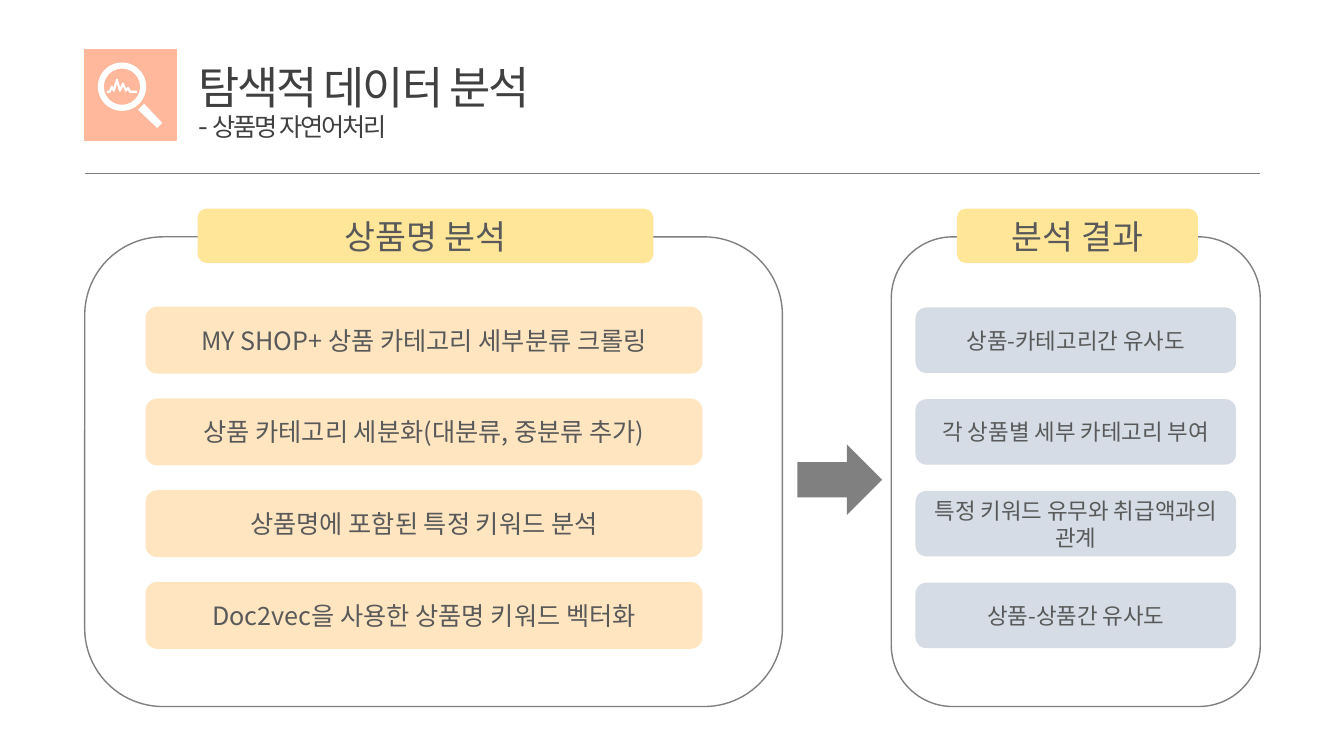
import pptx
import pptx.util
import pptx.dml.color
import pptx.enum.shapes
import pptx.enum.text
import pptx.oxml
import pptx.oxml.ns

Inches = pptx.util.Inches
Pt = pptx.util.Pt
RGB = pptx.dml.color.RGBColor
Kind = pptx.enum.shapes.MSO_SHAPE
Align = pptx.enum.text.PP_ALIGN
Anchor = pptx.enum.text.MSO_ANCHOR

FONT = "Noto Sans CJK KR"
WHITE = RGB(0xFF, 0xFF, 0xFF)
GRAY = RGB(0x80, 0x80, 0x80)
DARK = RGB(0x40, 0x40, 0x40)
TEXT = RGB(0x59, 0x59, 0x59)
CORAL = RGB(0xFF, 0xB8, 0x9B)
YELLOW = RGB(0xFF, 0xE6, 0x99)
PEACH = RGB(0xFF, 0xE6, 0xC1)
BLUE = RGB(0xD6, 0xDC, 0xE5)

STEPS = [
    "MY SHOP+ 상품 카테고리 세부분류 크롤링",
    "상품 카테고리 세분화(대분류, 중분류 추가)",
    "상품명에 포함된 특정 키워드 분석",
    "Doc2vec을 사용한 상품명 키워드 벡터화",
]
RESULTS = [
    "상품-카테고리간 유사도",
    "각 상품별 세부 카테고리 부여",
    "특정 키워드 유무와 취급액과의 관계",
    "상품-상품간 유사도",
]
WAVE = [(0.09, 0.29), (0.12, 0.29), (0.14, 0.24), (0.16, 0.28), (0.19, 0.17),
        (0.22, 0.28), (0.25, 0.21), (0.28, 0.28), (0.3, 0.25), (0.32, 0.29),
        (0.39, 0.29)]
HANDLE = [(0.46, 0.41), (0.64, 0.6), (0.59, 0.65), (0.4, 0.47)]


def write(para, text, size, color=TEXT, space=None):
    run = para.add_run()
    run.text = text
    run.font.size = Pt(size)
    run.font.name = FONT
    run.font.color.rgb = color
    props = run.font._element
    east = pptx.oxml.parse_xml(
        f'<a:ea {pptx.oxml.ns.nsdecls("a")} typeface="{FONT}"/>')
    props.find(pptx.oxml.ns.qn("a:latin")).addnext(east)
    if space is not None:
        props.set("spc", str(int(space * 100)))


def paint(shape, fill=None, line=None, width=1):
    shape.shadow.inherit = False
    if fill is None:
        shape.fill.background()
    else:
        shape.fill.solid()
        shape.fill.fore_color.rgb = fill
    if line is None:
        shape.line.fill.background()
    else:
        shape.line.color.rgb = line
        shape.line.width = Pt(width)
    return shape


def block(slide, kind, box, **style):
    shape = slide.shapes.add_shape(kind, *map(Inches, box))
    return paint(shape, **style)


def label(slide, box, text, size, **style):
    """Rounded box with centred text."""
    shape = block(slide, Kind.ROUNDED_RECTANGLE, box, **style)
    frame = shape.text_frame
    frame.word_wrap = True
    frame.vertical_anchor = Anchor.MIDDLE
    frame.paragraphs[0].alignment = Align.CENTER
    write(frame.paragraphs[0], text, size)


def trace(slide, left, top, points, close):
    pts = [(Inches(left + x), Inches(top + y)) for x, y in points]
    form = slide.shapes.build_freeform(*pts[0])
    form.add_line_segments(pts[1:], close=close)
    return form.convert_to_shape()


def icon(slide, left, top):
    block(slide, Kind.RECTANGLE, (left, top, 0.91, 0.9), fill=CORAL, line=CORAL)
    left, top = left + 0.13, top + 0.13
    lens = block(slide, Kind.DONUT, (left, top, 0.48, 0.48), fill=WHITE)
    lens.adjustments[0] = 0.125
    paint(trace(slide, left, top, WAVE, False), line=WHITE, width=1.5)
    paint(trace(slide, left, top, HANDLE, True), fill=WHITE)


def header(slide, left, top, width):
    icon(slide, left, top)
    rule = slide.shapes.add_connector(
        pptx.enum.shapes.MSO_CONNECTOR.STRAIGHT, Inches(left),
        Inches(top + 1.23), Inches(left + width), Inches(top + 1.23))
    rule.line.color.rgb = GRAY
    rule.line.width = Pt(0.75)
    rule._element.spPr.append(pptx.oxml.parse_xml(
        f'<a:effectLst {pptx.oxml.ns.nsdecls("a")}/>'))
    box = slide.shapes.add_textbox(
        Inches(left + 1.03), Inches(top + 0.13), Inches(7.73), Inches(0.98))
    frame = box.text_frame
    frame.word_wrap = True
    title, sub = frame.paragraphs[0], frame.add_paragraph()
    title.line_spacing = sub.line_spacing = 0.85
    write(title, "탐색적 데이터 분석", 32, color=DARK, space=-1.5)
    write(sub, "- ", 20, color=DARK, space=-1.5)
    write(sub, "상품명 자연어처리", 18, color=DARK, space=-1.5)


def panel(slide, box, head, inset, items, size, **style):
    """Outlined panel: head is (text, offset, width), inset is (offset, width)."""
    left, top, width, height = box
    block(slide, Kind.ROUNDED_RECTANGLE, box, line=GRAY)
    text, shift, span = head
    label(slide, (left + shift, top - 0.28, span, 0.54), text, 24, fill=YELLOW)
    shift, span = inset
    for row, item in enumerate(items):
        spot = (left + shift, top + 0.7 + row * 0.91, span, 0.65)
        label(slide, spot, item, size, **style)


def main():
    deck = pptx.Presentation()
    deck.slide_width, deck.slide_height = Inches(13.33), Inches(7.5)
    slide = deck.slides.add_slide(deck.slide_layouts[6])
    header(slide, 0.84, 0.49, 11.66)
    panel(slide, (0.84, 2.35, 6.92, 4.66), ("상품명 분석", 1.12, 4.52),
          (0.61, 5.51), STEPS, 18, fill=PEACH, line=PEACH)
    block(slide, Kind.RIGHT_ARROW, (7.91, 4.41, 0.84, 0.7), fill=GRAY)
    panel(slide, (8.84, 2.35, 3.66, 4.66), ("분석 결과", 0.65, 2.39),
          (0.24, 3.18), RESULTS, 16, fill=BLUE)
    deck.save("out.pptx")


if __name__ == "__main__":
    main()
